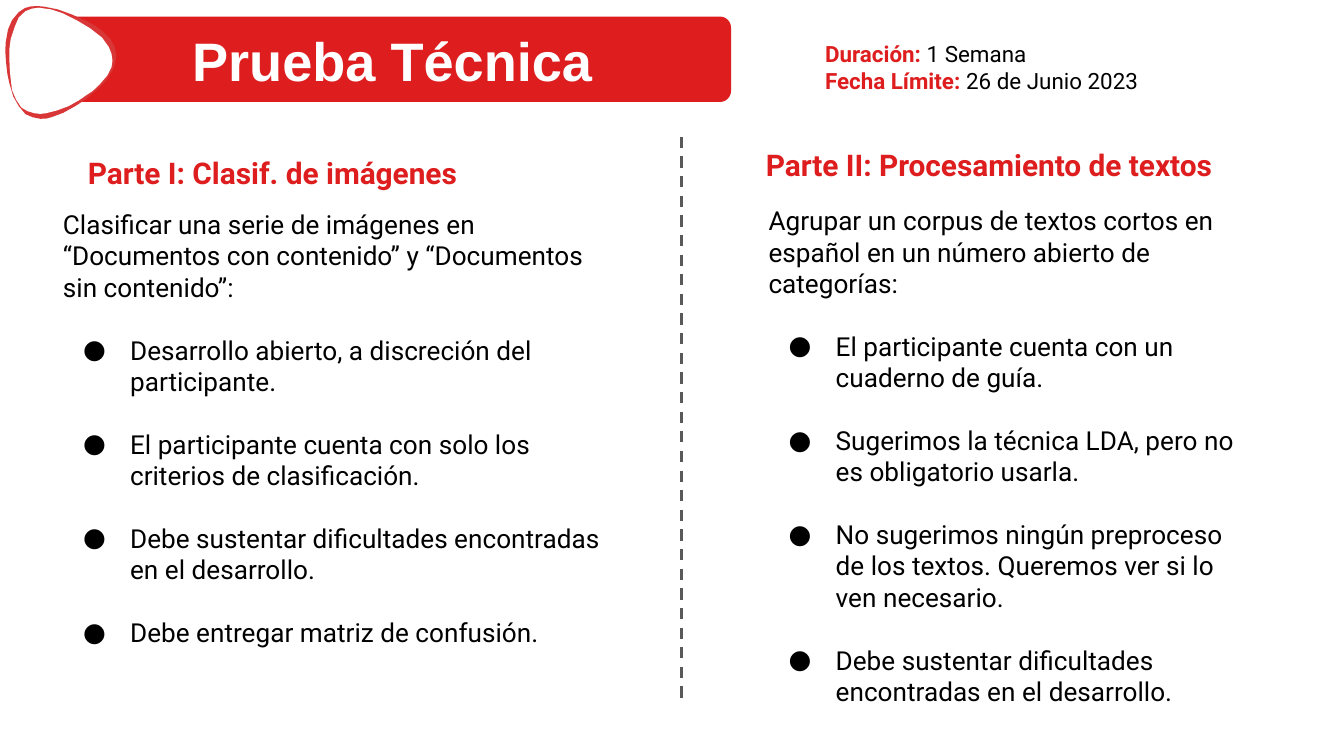
from lxml.etree import SubElement
from pptx import Presentation
from pptx.dml.color import RGBColor
from pptx.enum.dml import MSO_LINE_DASH_STYLE as Dash
from pptx.enum.shapes import MSO_CONNECTOR as Connector, MSO_SHAPE as Shape
from pptx.enum.text import MSO_ANCHOR as Anchor, PP_ALIGN as Align
from pptx.oxml.ns import qn
from pptx.util import Inches, Pt

RED = RGBColor(0xDE, 0x1E, 0x1E)
RIM_RED = RGBColor(0xD9, 0x37, 0x37)
WHITE = RGBColor(0xFF, 0xFF, 0xFF)
BLACK = RGBColor(0, 0, 0)
GRAY = RGBColor(0x59, 0x59, 0x59)

# The grid has 100 columns and 100 rows
WIDTH, HEIGHT = Inches(10), Inches(5.625)
COL, ROW = WIDTH / 100, HEIGHT / 100

TITLE = {"name": "Arial", "size": Pt(29), "bold": True, "color": WHITE}
HEADING = {"name": "Roboto", "size": Pt(16), "bold": True, "color": RED}
BODY = {"name": "Roboto", "size": Pt(14), "bold": False, "color": BLACK}
LABEL = {"name": "Roboto", "size": Pt(12), "bold": True, "color": RED}
VALUE = {**LABEL, "bold": False, "color": BLACK}
BLANK_LINE = Pt(16.8)

# Badge outlines, in percent of the badge box
RIM = [(82, 29), (85, 34), (86, 38), (86.5, 41), (86, 45), (84, 52), (79, 60),
       (73, 66), (63, 74.5), (56, 79), (47, 84), (39, 87), (34.5, 88.3),
       (30, 88.4), (24.5, 87.3), (19, 85), (14, 79), (10, 72), (7, 62),
       (5.5, 55), (4.6, 47), (4, 39), (4.2, 32), (6, 22), (9, 15), (14, 9),
       (18.5, 6), (23, 4.8), (28, 4.5), (33, 5), (43, 7), (54, 11), (65, 16),
       (71, 19.3), (76, 23)]
CORE = [(81, 35), (83, 40), (83.7, 45), (83, 50), (80, 56), (74, 63),
        (69, 67.7), (64, 71), (59, 74.5), (51, 79), (42, 82.3), (34, 84.3),
        (30, 84.7), (26, 84.3), (20.5, 82.7), (16, 80), (12, 74), (9, 67),
        (7.8, 57), (7.2, 50), (7, 43), (7.1, 36), (8, 29), (11, 20), (14, 13),
        (19, 8.3), (24, 6.4), (29, 5.7), (38, 7), (47, 10), (57, 15),
        (67, 21), (76, 28)]

PARTS = [
    {"box": (3.7, 25.8, 43.3, 58.1),
     "heading": "Parte I: Clasif. de imágenes",
     "heading_offset": (1.85, -7.1), "heading_width": 39.8, "align": Align.LEFT,
     "intro": "Clasificar una serie de imágenes en “Documentos con contenido” "
              "y “Documentos sin contenido”:",
     "points": ["Desarrollo abierto, a discreción del participante.",
                "El participante cuenta con solo los criterios de clasificación.",
                "Debe sustentar dificultades encontradas en el desarrollo.",
                "Debe entregar matriz de confusión."]},
    {"box": (56.2, 25.3, 37.6, 70.6),
     "heading": "Parte II: Procesamiento de textos",
     "heading_offset": (-0.9, -7.7), "heading_width": 36.6, "align": Align.CENTER,
     "intro": "Agrupar un corpus de textos cortos en español en un número "
              "abierto de categorías:",
     "points": ["El participante cuenta con un cuaderno de guía.",
                "Sugerimos la técnica LDA, pero no es obligatorio usarla.",
                "No sugerimos ningún preproceso de los textos. Queremos ver "
                "si lo ven necesario.",
                "Debe sustentar dificultades encontradas en el desarrollo."]},
]


def place(box):
    x, y, w, h = box
    return [round(v) for v in (x * COL, y * ROW, w * COL, h * ROW)]


def paint(shape, color):
    shape.shadow.inherit = False
    shape.fill.solid()
    shape.fill.fore_color.rgb = color
    shape.line.fill.background()


def add_run(paragraph, text, style):
    run = paragraph.add_run()
    run.text = text
    for key, value in style.items():
        if key == "color":
            run.font.color.rgb = value
        else:
            setattr(run.font, key, value)


def add_text(slide, box, lines, align=Align.LEFT, inset=0.1, anchor=Anchor.TOP):
    """Each line is a list of (text, style) runs."""
    frame = slide.shapes.add_textbox(*place(box)).text_frame
    frame.word_wrap = True
    frame.vertical_anchor = anchor
    for side in ("left", "right", "top", "bottom"):
        setattr(frame, f"margin_{side}", Inches(inset))
    for i, runs in enumerate(lines):
        paragraph = frame.add_paragraph() if i else frame.paragraphs[0]
        paragraph.alignment = align
        for text, style in runs:
            add_run(paragraph, text, style)
    return frame


def add_bullet(paragraph):
    props = paragraph._p.get_or_add_pPr()
    props.set("marL", str(Inches(0.5)))
    props.set("indent", str(-Inches(0.35)))
    color = SubElement(props, qn("a:buClr"))
    SubElement(color, qn("a:srgbClr"), val=str(BLACK))
    SubElement(props, qn("a:buFont"), typeface=BODY["name"])
    SubElement(props, qn("a:buChar"), char="●")


def draw_badge(slide, box):
    left, top, width, height = place(box)
    for outline, color in ((RIM, RIM_RED), (CORE, WHITE)):
        start, *rest = [(left + x * width / 100, top + y * height / 100)
                        for x, y in outline]
        builder = slide.shapes.build_freeform(*start)
        builder.add_line_segments(rest, close=True)
        paint(builder.convert_to_shape(), color)


def draw_banner(slide, box):
    x, y, w, h = box
    bar = slide.shapes.add_shape(Shape.ROUNDED_RECTANGLE, *place(box))
    bar.adjustments[0] = 0.13
    paint(bar, RED)
    draw_badge(slide, (0, 0, 10, 17.78))
    add_text(slide, (x + 4.8, y + 1.3, w - 8.7, h - 2.6),
             [[("Prueba Técnica", TITLE)]], Align.CENTER, 0, Anchor.MIDDLE)


def draw_deadline(slide, box):
    add_text(slide, box, [
        [("Duración: ", LABEL), ("1 Semana", VALUE)],
        [("Fecha Límite: ", LABEL), ("26 de Junio 2023", VALUE)]])


def draw_divider(slide, box):
    x, y, w, h = place(box)
    divider = slide.shapes.add_connector(Connector.STRAIGHT, x, y, x + w, y + h)
    divider.line.color.rgb = GRAY
    divider.line.width = Pt(1.5)
    divider.line.dash_style = Dash.DASH
    SubElement(divider._element.spPr, qn("a:effectLst"))


def draw_part(slide, box, part):
    x, y, _, _ = box
    dx, dy = part["heading_offset"]
    add_text(slide, (x + dx, y + dy, part["heading_width"], 8.4),
             [[(part["heading"], HEADING)]], part["align"])
    texts = [part["intro"], *part["points"]]
    body = add_text(slide, box, [[(text, BODY)] for text in texts])
    for paragraph in body.paragraphs[1:]:
        paragraph.space_before = BLANK_LINE
        add_bullet(paragraph)


def main():
    deck = Presentation()
    deck.slide_width, deck.slide_height = WIDTH, HEIGHT
    slide = deck.slides.add_slide(deck.slide_layouts[6])
    for part in PARTS:
        draw_part(slide, part["box"], part)
    draw_divider(slide, (50.7, 18.1, 0, 74.2))
    draw_banner(slide, (3.1, 2.2, 51.3, 11.3))
    draw_deadline(slide, (60.4, 3.5, 32.8, 10.8))
    deck.save("out.pptx")


if __name__ == "__main__":
    main()
